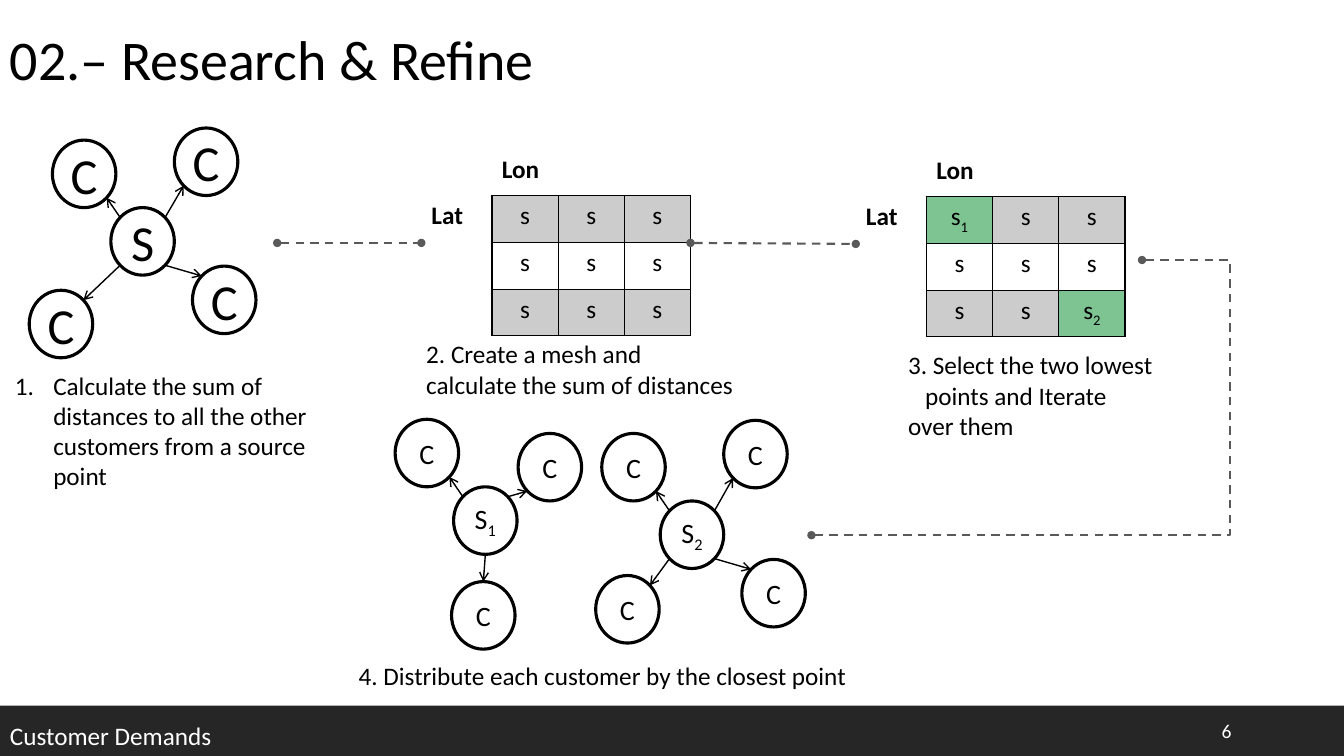
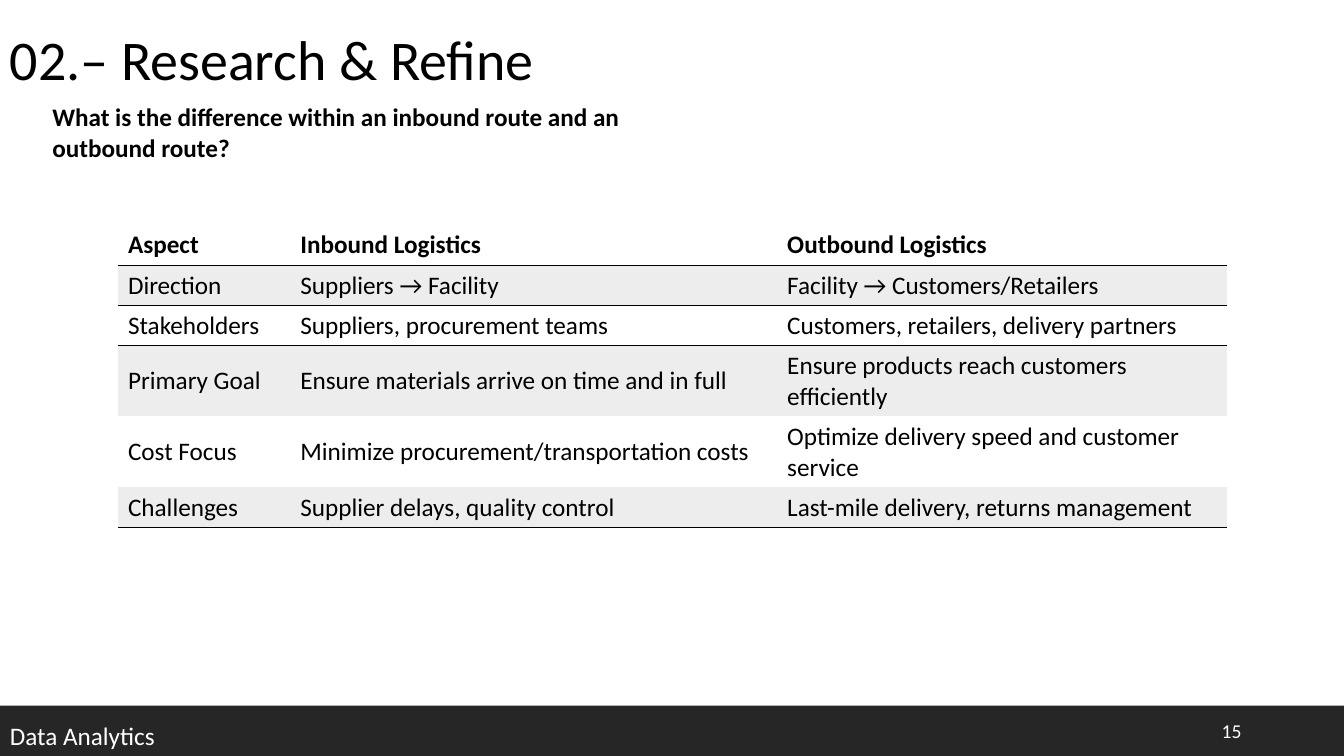
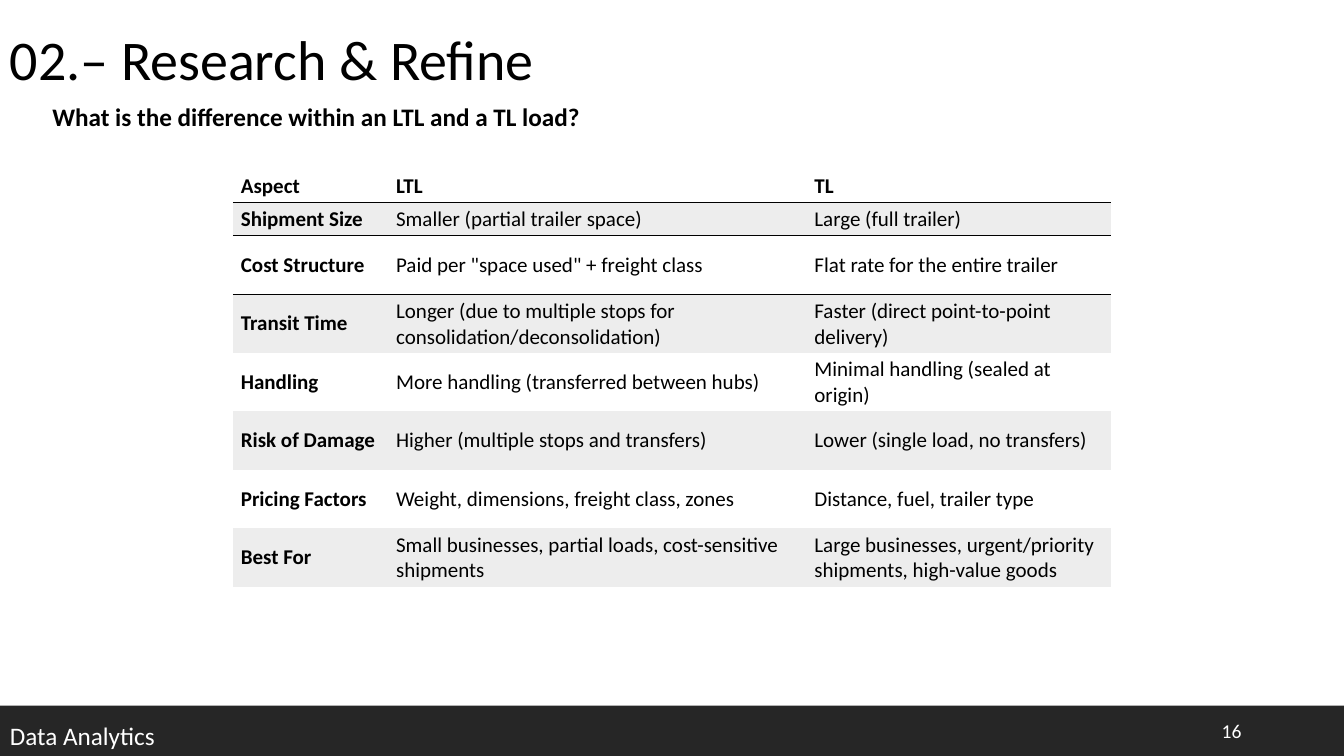
"""Build three logistics slides: a customer demand method and two comparison tables."""
from math import hypot

from lxml.etree import SubElement
from pptx import Presentation
from pptx.dml.color import RGBColor
from pptx.enum.dml import MSO_LINE
from pptx.enum.shapes import MSO_CONNECTOR, MSO_SHAPE
from pptx.enum.text import MSO_ANCHOR, PP_ALIGN
from pptx.oxml.ns import qn
from pptx.util import Inches, Pt

RECT, OVAL = MSO_SHAPE.RECTANGLE, MSO_SHAPE.OVAL
STRAIGHT, ELBOW = MSO_CONNECTOR.STRAIGHT, MSO_CONNECTOR.ELBOW
TOP, MIDDLE = MSO_ANCHOR.TOP, MSO_ANCHOR.MIDDLE
LEFT, CENTER = PP_ALIGN.LEFT, PP_ALIGN.CENTER
DASH = MSO_LINE.DASH
BLACK, WHITE, DARK, GRAY = "000000", "FFFFFF", "262626", "595959"
SILVER, PALE, GREEN = "CCCCCC", "EDEDED", "7EC492"
PLAIN_TABLE = "{2D5ABB26-0587-4C30-8999-92F81FD0307C}"

UNIT = Inches(0.1)
WIDE, HIGH = 133.33, 75
BODY = {"name": "Calibri", "size": Pt(18), "bold": False}
BOLD = BODY | {"bold": True}
TITLE = BODY | {"size": Pt(40)}
SMALL = BODY | {"size": Pt(14)}
DENTS = {
    "#": {"marL": Inches(0.38), "indent": -Inches(0.38)},
    ">": {"marL": Inches(0.17)},
}


def tint(fill, hue):
    """Give a fill one solid colour from a hex string."""
    fill.solid()
    fill.fore_color.rgb = RGBColor.from_string(hue)


def write(frame, text, look, hue=BLACK, align=LEFT, anchor=TOP):
    """Write lines of text; '#' numbers a line, '>' indents it, '_' lowers its end."""
    frame.vertical_anchor = anchor
    for row, line in enumerate(text.split("\n")):
        para = frame.add_paragraph() if row else frame.paragraphs[0]
        para.alignment = align
        props = para._p.get_or_add_pPr()
        for key, value in DENTS.get(line[:1], {}).items():
            props.set(key, str(value))
        if line.startswith("#"):
            SubElement(props, qn("a:buAutoNum"), type="arabicPeriod")
        for low, part in enumerate(line.lstrip("#>").split("_")):
            run = para.add_run()
            run.text = part
            for key, value in look.items():
                setattr(run.font, key, value)
            tint(run.font.fill, hue)
            if low:
                run._r.get_or_add_rPr().set("baseline", "-25000")


deck = Presentation()
deck.slide_width, deck.slide_height = round(WIDE * UNIT), HIGH * UNIT

plans = [
    ("Customer Demands", "6", [
        ((41.3, 33.1, 32.8, 7.1),
         "2. Create a mesh and\ncalculate the sum of distances", BODY),
        ((89.1, 34.2, 26.7, 10.1),
         "3. Select the two lowest\n>points and Iterate\nover them", BODY),
        ((0.5, 36.2, 33.5, 13.1),
         "#Calculate the sum of distances to all the other customers from a source point", BODY),
        ((34.6, 65, 51, 4), "4. Distribute each customer by the closest point", BODY),
    ]),
    ("Data Analytics", "15", [
        ((4.2, 9.6, 67.9, 7.1),
         "What is the difference within an inbound route and an outbound route?", BOLD),
    ]),
    ("Data Analytics", "16", [
        ((4.2, 9.6, 67.8, 4), "What is the difference within an LTL and a TL load?", BOLD),
    ]),
]

pages = []
for foot, count, notes in plans:
    page = deck.slides.add_slide(deck.slide_layouts[6])
    pages.append(page)
    band = page.shapes.add_shape(RECT, 0, 70 * UNIT, deck.slide_width, 5 * UNIT)
    band.shadow.inherit = False
    tint(band.fill, DARK)
    band.line.fill.background()
    texts = [
        ((0, 1.9, 72.1, 7.7), "02.– Research & Refine", TITLE),
        ((0, 71, 25.4, 4), foot, BODY, WHITE),
        *notes,
        ((120.2, 70.5, 8.5, 4), count, SMALL, WHITE, LEFT, MIDDLE),
    ]
    for place, *words in texts:
        box = page.shapes.add_textbox(*[round(v * UNIT) for v in place])
        box.text_frame.word_wrap = True
        write(box.text_frame, *words)
demand, route, load = pages

mesh = [["", "Lon", "", ""], ["Lat", "s", "s", "s"], ["", "s", "s", "s"], ["", "s", "s", "s"]]
picks = [row[:] for row in mesh]
picks[1][1], picks[3][3] = "s_1", "s_2"
ways = [
    ["Aspect", "Inbound Logistics", "Outbound Logistics"],
    ["Direction", "Suppliers → Facility", "Facility → Customers/Retailers"],
    ["Stakeholders", "Suppliers, procurement teams", "Customers, retailers, delivery partners"],
    ["Primary Goal", "Ensure materials arrive on time and in full",
     "Ensure products reach customers efficiently"],
    ["Cost Focus", "Minimize procurement/transportation costs",
     "Optimize delivery speed and customer service"],
    ["Challenges", "Supplier delays, quality control", "Last-mile delivery, returns management"],
]
loads = [
    ["Aspect", "LTL", "TL"],
    ["Shipment Size", "Smaller (partial trailer space)", "Large (full trailer)"],
    ["Cost Structure", 'Paid per "space used" + freight class', "Flat rate for the entire trailer"],
    ["Transit Time", "Longer (due to multiple stops for consolidation/deconsolidation)",
     "Faster (direct point-to-point delivery)"],
    ["Handling", "More handling (transferred between hubs)", "Minimal handling (sealed at origin)"],
    ["Risk of Damage", "Higher (multiple stops and transfers)", "Lower (single load, no transfers)"],
    ["Pricing Factors", "Weight, dimensions, freight class, zones", "Distance, fuel, trailer type"],
    ["Best For", "Small businesses, partial loads, cost-sensitive shipments",
     "Large businesses, urgent/priority shipments, high-value goods"],
]
thin = {"margin_left": Inches(0.08), "margin_right": Inches(0.08),
        "margin_top": Inches(0.04), "margin_bottom": Inches(0.04)}
mesh_cols, mesh_rows = [7] + [6.57] * 3, [4.63] * 4
tables = [
    (demand, 41.8, 14.8, mesh_cols, mesh_rows, mesh, 18, True, (), {}),
    (demand, 84.9, 14.9, mesh_cols, mesh_rows, picks, 18, True, (), {}),
    (route, 11.7, 22.3, [17.1, 48.3, 44.6], [4, 4, 4, 7, 7, 4], ways, 18, False, (0, 1, 5), {}),
    (load, 23.1, 16.8, [15.4, 41.5, 30.2], [3.3] * 2 + [5.8] * 6, loads, 15, True, (0, 1), thin),
]
for page, x, y, cols, rows, data, size, lead, ruled, pads in tables:
    area = (x, y, sum(cols), sum(rows))
    grid = page.shapes.add_table(len(rows), len(cols), *[round(v * UNIT) for v in area]).table
    grid._tbl.tblPr.find(qn("a:tableStyleId")).text = PLAIN_TABLE
    grid.first_row = grid.horz_banding = False
    for col, width in zip(grid.columns, cols):
        col.width = round(width * UNIT)
    for r, row in enumerate(data):
        grid.rows[r].height = round(rows[r] * UNIT)
        for c, text in enumerate(row):
            cell = grid.cell(r, c)
            for key, value in pads.items():
                setattr(cell, key, value)
            if ruled:
                sides = "T" * (r - 1 in ruled) + "B" * (r in ruled)
                shade, align, anchor = PALE if r % 2 else WHITE, LEFT, MIDDLE
            else:
                inner = r and c
                sides = "LRTB" if inner else "B" if c else "R" if r else ""
                shade = GREEN if "_" in text else SILVER if inner and r % 2 else WHITE
                align, anchor = CENTER if inner else LEFT, TOP
            look = BODY | {"size": Pt(size), "bold": r == 0 or lead and c == 0}
            write(cell.text_frame, text, look, BLACK, align)
            cell.vertical_anchor = anchor
            tint(cell.fill, shade)
            props = cell._tc.get_or_add_tcPr()
            for spot, side in enumerate(sides):
                edge = SubElement(props, qn("a:ln" + side), w=str(Pt(1)))
                ink = SubElement(edge, qn("a:solidFill"))
                SubElement(ink, qn("a:srgbClr"), val=BLACK)
                props.insert(spot, edge)

links = [
    (demand.shapes, STRAIGHT, (27.5, 24.1, 41.8, 24.1), True),
    (demand.shapes, STRAIGHT, (68.5, 24.1, 84.9, 24.2), True),
    (demand.shapes, ELBOW, (113.3, 25.8, 80.5, 53.1), True),
]
stars = [
    ("S", 36, 11, 20.6, [(-5.8, -6.7), (8.1, 5.8), (-8.1, 8.2), (6.3, -7.9)]),
    ("S_2", 20, 65.5, 49.7, [(-5.8, -6.7), (8.1, 5.8), (-6.4, 7.4), (6.3, -8)]),
    ("S_1", 20, 45, 48.3, [(-5.8, -6.7), (-0.2, 9.4), (6.4, -5.3)]),
]
disc_w, disc_h = 6.3, 6.7
for name, size, x, y, spokes in stars:
    group = demand.shapes.add_group_shape().shapes
    for dx, dy in [(0, 0)] + spokes:
        area = (x + dx, y + dy, disc_w, disc_h)
        disc = group.add_shape(OVAL, *[round(v * UNIT) for v in area])
        disc.shadow.inherit = False
        tint(disc.fill, WHITE)
        tint(disc.line.fill, BLACK)
        disc.line.width = Pt(2.25)
        disc.text_frame.word_wrap = False
        look = BODY | {"size": Pt(size)}
        write(disc.text_frame, "C" if dx else name, look, BLACK, CENTER, MIDDLE)
    for dx, dy in spokes:
        reach = hypot(dx, dy)
        across, down = round(dx / reach), round(dy / reach)
        turn = hypot(across, down) * 2
        rim_x, rim_y = across * disc_w / turn, down * disc_h / turn
        mid_x, mid_y = x + disc_w / 2, y + disc_h / 2
        ends = (mid_x + rim_x, mid_y + rim_y, mid_x + dx - rim_x, mid_y + dy - rim_y)
        links.append((group, STRAIGHT, ends, False))

for shapes, kind, ends, dashed in links:
    link = shapes.add_connector(kind, *[round(v * UNIT) for v in ends])
    tint(link.line.fill, GRAY if dashed else BLACK)
    link.line.width = Pt(1.5 if dashed else 1)
    props = link._element.spPr
    line = props.find(qn("a:ln"))
    if dashed:
        link.line.dash_style = DASH
        SubElement(line, qn("a:headEnd"), type="oval")
    SubElement(line, qn("a:tailEnd"), type="oval" if dashed else "arrow")
    SubElement(props, qn("a:effectLst"))
    if kind == ELBOW:
        bends = props.find(".//" + qn("a:avLst"))
        SubElement(bends, qn("a:gd"), name="adj1", fmla="val -26500")

deck.save("out.pptx")
